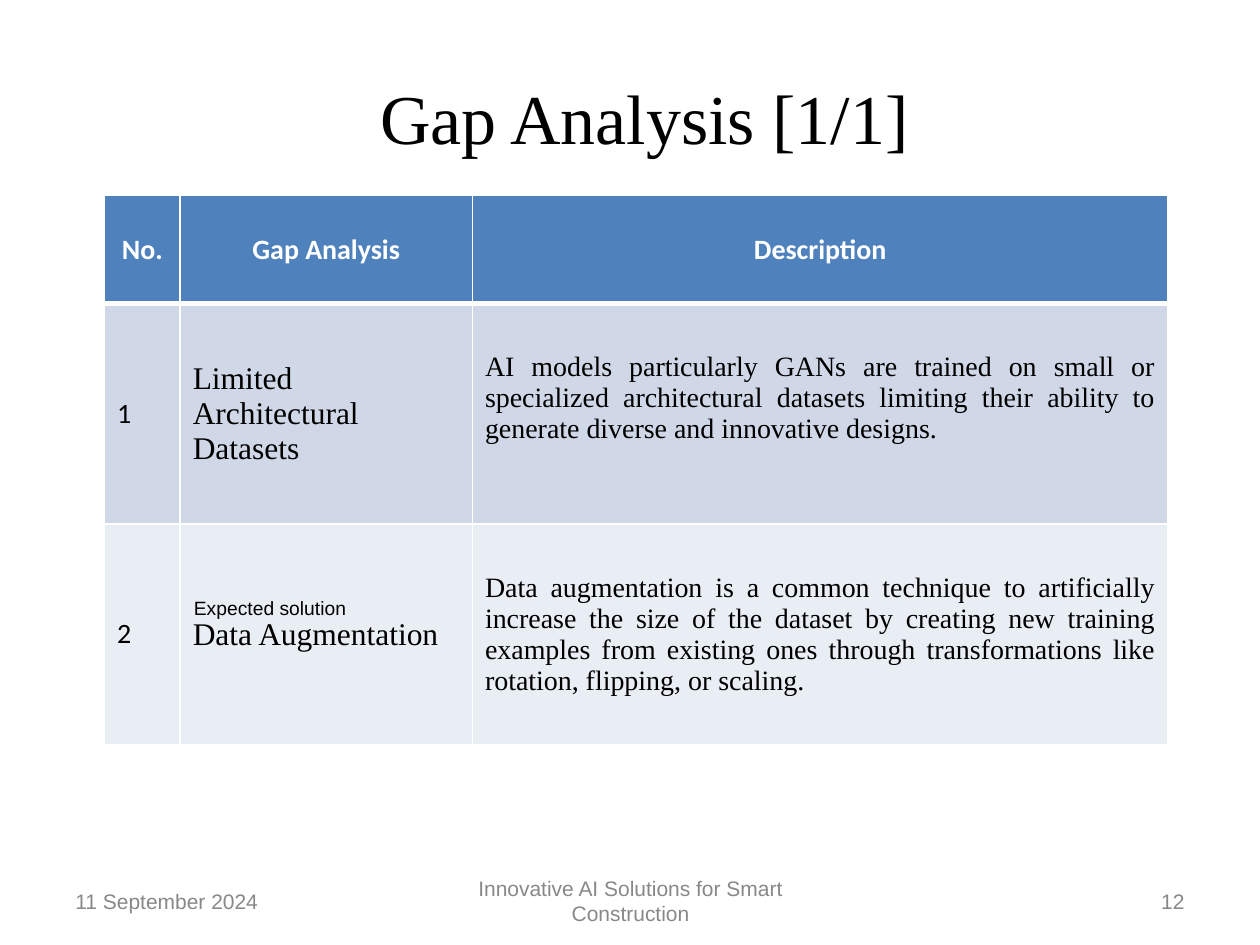
from dataclasses import dataclass

from lxml import etree
from pptx import Presentation
from pptx.dml.color import RGBColor
from pptx.enum import text
from pptx.oxml import ns
from pptx.util import Inches, Pt

COLORS = {
    "ink": "000000", "white": "FFFFFF", "header": "4F81BD",
    "band_dark": "D0D8E8", "band_light": "E9EDF4", "footer": "888888",
}
SERIF, SANS, TABLE_SANS = "Times New Roman", "Arial", "Calibri"
ALIGN = text.PP_ALIGN
MIDDLE = text.MSO_ANCHOR.MIDDLE


@dataclass
class Style:
    font: str
    size: float
    color: str = "ink"
    align: ALIGN = ALIGN.LEFT
    bold: bool = False


@dataclass
class Label:
    words: str
    left: float
    top: float
    width: float
    height: float
    style: Style
    anchor: text.MSO_ANCHOR = MIDDLE


def write(frame, words: str, style: Style) -> None:
    frame.text = words
    paragraph = frame.paragraphs[0]
    paragraph.alignment = style.align
    font = paragraph.runs[0].font
    font.name, font.size, font.bold = style.font, Pt(style.size), style.bold
    font.color.rgb = RGBColor.from_string(COLORS[style.color])


def place(shape, left: float, top: float, width: float, height: float) -> None:
    shape.left, shape.top = Inches(left), Inches(top)
    shape.width, shape.height = Inches(width), Inches(height)


def add_label(slide, label: Label) -> None:
    box = slide.shapes.add_textbox(Inches(label.left), Inches(label.top),
                                   Inches(label.width), Inches(label.height))
    box.text_frame.word_wrap = True
    box.text_frame.vertical_anchor = label.anchor
    write(box.text_frame, label.words, label.style)


def fill_cell(cell, words: str, style: Style, fill: str, bottom_line: float) -> None:
    write(cell.text_frame, words, style)
    cell.vertical_anchor = MIDDLE
    # Borders come before the fill in the cell properties
    properties = cell._tc.get_or_add_tcPr()
    for side, points in (("L", 1), ("R", 1), ("T", 1), ("B", bottom_line)):
        line = etree.SubElement(properties, ns.qn(f"a:ln{side}"), w=str(Pt(points)))
        solid = etree.SubElement(line, ns.qn("a:solidFill"))
        etree.SubElement(solid, ns.qn("a:srgbClr"), val=COLORS["white"])
    cell.fill.solid()
    cell.fill.fore_color.rgb = RGBColor.from_string(COLORS[fill])


# Content
HEADINGS = ("No.", "Gap Analysis", "Description")
GAPS = (
    ("1", "Limited Architectural Datasets",
     "AI models particularly GANs are trained on small or specialized "
     "architectural datasets limiting their ability to generate diverse and "
     "innovative designs."),
    ("2", "Data Augmentation",
     "Data augmentation is a common technique to artificially increase the size "
     "of the dataset by creating new training examples from existing ones through "
     "transformations like rotation, flipping, or scaling."),
)
COLUMN_WIDTHS = (0.6, 2.32, 5.52)
ROW_HEIGHTS = (0.86, 1.75, 1.75)
HEADING_STYLE = Style(TABLE_SANS, 16, "white", ALIGN.CENTER, True)
COLUMN_STYLES = (
    Style(TABLE_SANS, 16, align=ALIGN.JUSTIFY),
    Style(SERIF, 18, align=ALIGN.JUSTIFY),
    Style(SERIF, 16, align=ALIGN.JUSTIFY),
)
LABELS = (
    Label("Expected solution", 1.44, 4.68, 1.78, 0.29, Style(SANS, 11),
          text.MSO_ANCHOR.TOP),
    Label("11 September 2024", 0.5, 6.95, 2.33, 0.4, Style(SANS, 12, "footer")),
    Label("Innovative AI Solutions for Smart Construction", 3.42, 6.95, 3.17, 0.4,
          Style(SANS, 12, "footer", ALIGN.CENTER)),
    Label("12", 7.17, 6.95, 2.33, 0.4, Style(SANS, 12, "footer", ALIGN.RIGHT)),
)


def add_gap_table(slide) -> None:
    table = slide.shapes.add_table(
        len(ROW_HEIGHTS), len(COLUMN_WIDTHS), Inches(0.83), Inches(1.55),
        Inches(sum(COLUMN_WIDTHS)), Inches(sum(ROW_HEIGHTS))).table
    for column, width in zip(table.columns, COLUMN_WIDTHS):
        column.width = Inches(width)
    for row, height in zip(table.rows, ROW_HEIGHTS):
        row.height = Inches(height)

    for index, heading in enumerate(HEADINGS):
        fill_cell(table.cell(0, index), heading, HEADING_STYLE, "header", 3)
    bands = ("band_dark", "band_light")
    for row_index, (gap, band) in enumerate(zip(GAPS, bands), start=1):
        for index, (words, style) in enumerate(zip(gap, COLUMN_STYLES)):
            fill_cell(table.cell(row_index, index), words, style, band, 1)
    # The first description sits a little above the middle
    table.cell(1, 2).margin_bottom = Inches(0.3)


def main() -> None:
    deck = Presentation()
    deck.slide_width, deck.slide_height = Inches(10), Inches(7.5)
    slide = deck.slides.add_slide(deck.slide_layouts[5])

    # Title
    title = slide.shapes.title
    place(title, 0.83, 0.3, 8.57, 1.25)
    title.text_frame.vertical_anchor = MIDDLE
    write(title.text_frame, "Gap Analysis [1/1]", Style(SERIF, 40, align=ALIGN.CENTER))

    # Table, then the label on top of it and the footer
    add_gap_table(slide)
    for label in LABELS:
        add_label(slide, label)

    deck.save("out.pptx")


if __name__ == "__main__":
    main()
